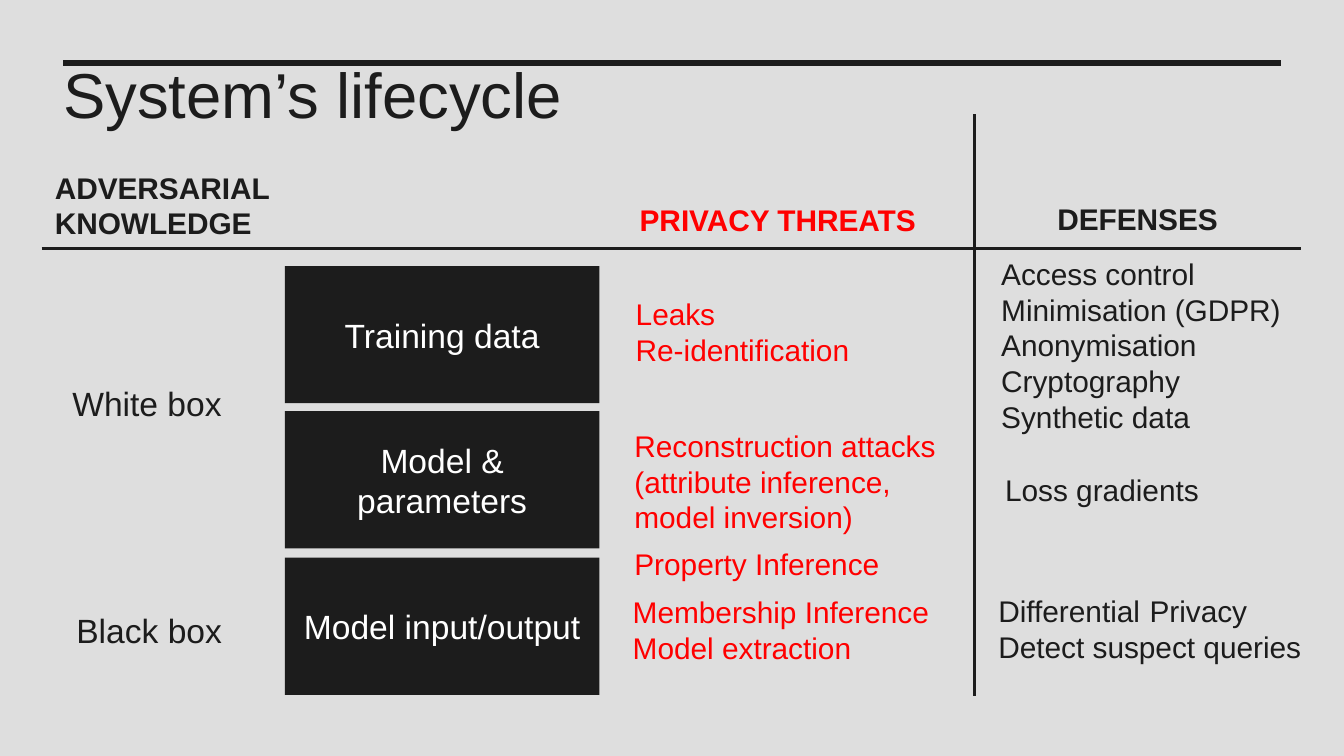
from dataclasses import dataclass

from pptx import Presentation
from pptx.dml.color import RGBColor
from pptx.enum.shapes import MSO_CONNECTOR, MSO_SHAPE
from pptx.enum.text import MSO_ANCHOR, MSO_AUTO_SIZE, PP_ALIGN
from pptx.oxml.ns import qn
from pptx.util import Inches, Pt
from lxml import etree

STRAIGHT = MSO_CONNECTOR.STRAIGHT
RECTANGLE = MSO_SHAPE.RECTANGLE
MIDDLE = MSO_ANCHOR.MIDDLE
GROW = MSO_AUTO_SIZE.SHAPE_TO_FIT_TEXT
CENTER = PP_ALIGN.CENTER


@dataclass(frozen=True)
class Theme:
    font: str = "Arial"
    paper: RGBColor = RGBColor(0xDE, 0xDE, 0xDE)
    ink: RGBColor = RGBColor(0x1C, 0x1C, 0x1C)
    threat: RGBColor = RGBColor(0xFF, 0x00, 0x00)
    white: RGBColor = RGBColor(0xFF, 0xFF, 0xFF)
    title: int = 34
    label: int = 18
    body: int = 16


THEME = Theme()
HEADING = {"bold": True}
THREAT = {"color": THEME.threat}
LABEL = {"size": Pt(THEME.label)}

STAGES = {1.98: "Training data", 3.06: "Model & parameters", 4.15: "Model input/output"}
STAGE_LEFT, STAGE_WIDTH, STAGE_HEIGHT = 2.12, 2.34, 1.02


def format_font(font, values):
    """Set the body format on a font, with the given values in its place."""
    values = {"name": THEME.font, "size": Pt(THEME.body), "color": THEME.ink} | values
    for name, value in values.items():
        if name == "color":
            font.color.rgb = value
        else:
            setattr(font, name, value)


def write(frame, lines, values, align=None, space_after=None):
    """Write a paragraph per line, which is a string or a list of (text, values).

    space_after maps line numbers to points.
    """
    frame.word_wrap = True
    for number, line in enumerate(lines):
        para = frame.add_paragraph() if number else frame.paragraphs[0]
        para.alignment = align
        if space_after and number in space_after:
            para.space_after = Pt(space_after[number])
        for text, changes in [(line, {})] if isinstance(line, str) else line:
            span = para.add_run()
            span.text = text
            format_font(span.font, values | changes)


def add_text(page, place, lines, values, padded=False, **layout):
    """Add a text box; a padded one keeps its insets and grows with its text."""
    box = page.shapes.add_textbox(*map(Inches, place))
    frame = box.text_frame
    if padded:
        frame.auto_size = GROW
    else:
        for side in ("left", "top", "right", "bottom"):
            setattr(frame, f"margin_{side}", 0)
    write(frame, lines, values, **layout)


def add_rule(page, start, end, width):
    rule = page.shapes.add_connector(STRAIGHT, *map(Inches, start + end))
    rule.line.color.rgb = THEME.ink
    rule.line.width = Pt(width)
    etree.SubElement(rule._element.spPr, qn("a:effectLst"))


def add_stage(page, top, name):
    place = (STAGE_LEFT, top, STAGE_WIDTH, STAGE_HEIGHT)
    stage = page.shapes.add_shape(RECTANGLE, *map(Inches, place))
    stage.shadow.inherit = False
    stage.fill.solid()
    stage.fill.fore_color.rgb = THEME.ink
    stage.line.fill.background()
    stage.text_frame.vertical_anchor = MIDDLE
    write(stage.text_frame, [name], LABEL | {"color": THEME.white}, align=CENTER)


def add_headings(page):
    add_text(page, (0.47, 0.41, 9.06, 0.77), ["System’s lifecycle"],
             {"size": Pt(THEME.title)}, space_after={0: 8})
    add_text(page, (0.31, 1.21, 2.47, 0.64), ["ADVERSARIAL KNOWLEDGE"],
             HEADING, padded=True)
    add_text(page, (4.76, 1.5, 2.13, 0.41), ["PRIVACY THREATS"], HEADING | THREAT)
    add_text(page, (7.4, 1.49, 2.13, 0.41), ["DEFENSES"], HEADING, align=CENTER)


def add_knowledge(page):
    add_text(page, (0.44, 2.8, 1.4, 0.4), ["White box"], LABEL, padded=True)
    add_text(page, (0.47, 4.49, 1.4, 0.4), ["Black box"], LABEL, padded=True)


def add_threats(page):
    add_text(page, (4.73, 2.2, 1.99, 0.5), ["Leaks", "Re-identification"], THREAT)
    add_text(page, (4.72, 3.18, 2.28, 0.69),
             ["Reconstruction attacks", "(attribute inference, model inversion)",
              "Property Inference"], THREAT, space_after={1: 6})
    add_text(page, (4.61, 4.37, 2.5, 0.64),
             ["Membership Inference", "Model extraction"], THREAT, padded=True)


def add_defenses(page):
    add_text(page, (7.45, 1.9, 2.66, 1.02),
             ["Access control", "Minimisation (GDPR)", "Anonymisation",
              "Cryptography", "Synthetic data"], {})
    add_text(page, (7.38, 3.46, 2.65, 0.37), ["Loss gradients"], {}, padded=True)
    add_text(page, (7.33, 4.33, 2.72, 0.67),
             [[("Differential", {}), (" ", LABEL), ("Privacy", {})],
              "Detect suspect queries"], {}, padded=True)


def main():
    deck = Presentation()
    deck.slide_width = Inches(10)
    deck.slide_height = deck.slide_width * 9 // 16
    page = deck.slides.add_slide(deck.slide_layouts[6])
    page.background.fill.solid()
    page.background.fill.fore_color.rgb = THEME.paper

    add_rule(page, (0.47, 0.47), (9.53, 0.47), 3)
    add_rule(page, (7.25, 0.85), (7.25, 5.18), 1.75)
    add_rule(page, (0.31, 1.85), (9.68, 1.85), 1.75)
    for top, name in STAGES.items():
        add_stage(page, top, name)
    add_headings(page)
    add_knowledge(page)
    add_threats(page)
    add_defenses(page)
    deck.save("out.pptx")


if __name__ == "__main__":
    main()
